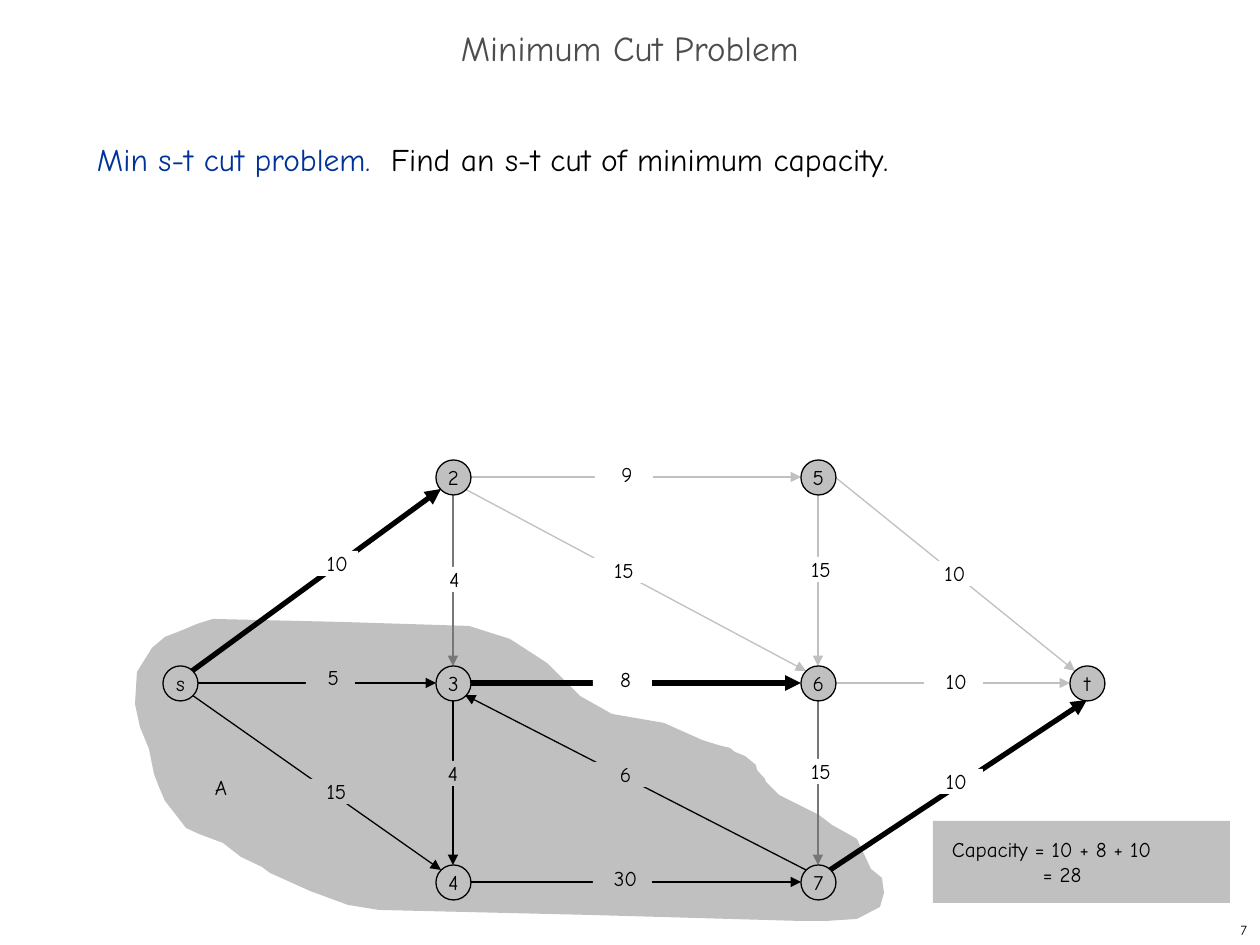
from dataclasses import dataclass

import pptx
import pptx.dml.color
import pptx.enum.shapes
import pptx.enum.text
import pptx.oxml
import pptx.oxml.ns
import pptx.util
from lxml import etree

Align = pptx.enum.text.PP_ALIGN
Anchor = pptx.enum.text.MSO_ANCHOR
Shape = pptx.enum.shapes.MSO_SHAPE
EMU_PER_PX = 914400 // 126


@dataclass(frozen=True)
class Theme:
    font: str = "Comic Neue"
    ink: str = "000000"
    title: str = "4D4D4D"
    accent: str = "003399"
    region: str = "C0C0C0"
    middle: str = "777777"
    paper: str = "FFFFFF"
    title_size: int = 20
    body_size: int = 18
    graph_size: int = 12
    number_size: int = 8
    thin: float = 0.75
    thick: float = 3


THEME = Theme()
NODE_SIZE = 35
SPACE = 6

NODES = {
    "s": (180, 683), "2": (453, 477), "3": (453, 683), "4": (453, 882),
    "5": (818, 477), "6": (818, 683), "7": (818, 882), "t": (1087, 683),
}

PORTS = {
    "N": (0, -17), "S": (0, 17), "W": (-17, 0), "E": (17, 0),
    "NW": (-12, -12), "NE": (12, -12), "SW": (-12, 12), "SE": (12, 12),
}

EDGES = [
    ("s", "NE", "2", "SW", THEME.ink, THEME.thick),
    ("s", "E", "3", "W", THEME.ink, THEME.thin),
    ("s", "SE", "4", "NW", THEME.ink, THEME.thin),
    ("3", "E", "6", "W", THEME.ink, THEME.thick),
    ("7", "NW", "3", "SE", THEME.ink, THEME.thin),
    ("3", "S", "4", "N", THEME.ink, THEME.thin),
    ("2", "E", "5", "W", THEME.region, THEME.thin),
    ("4", "E", "7", "W", THEME.ink, THEME.thin),
    ("2", "S", "3", "N", THEME.middle, THEME.thin),
    ("6", "S", "7", "N", THEME.middle, THEME.thin),
    ("5", "S", "6", "N", THEME.region, THEME.thin),
    ("2", "SE", "6", "NW", THEME.region, THEME.thin),
    ("5", "E", "t", "NW", THEME.region, THEME.thin),
    ("6", "E", "t", "W", THEME.region, THEME.thin),
    ("7", "NE", "t", "S", THEME.ink, THEME.thick),
]

LABELS = [
    ("15", 304, 779, 59, THEME.region, 1),
    ("5", 306, 665, 49, THEME.region, 1),
    ("30", 593, 866, 59, THEME.region, 1),
    ("15", 789, 759, 58, THEME.paper, 1),
    ("10", 299, 551, 59, THEME.paper, 3),
    ("8", 593, 667, 59, THEME.paper, 1),
    ("15", 592, 558, 58, THEME.paper, 1),
    ("9", 595, 462, 58, THEME.paper, 1),
    ("6", 593, 762, 59, THEME.region, 1),
    ("10", 924, 769, 59, THEME.paper, 1),
    ("10", 924, 669, 59, THEME.paper, 1),
    ("10", 917, 561, 58, THEME.paper, 3),
    ("15", 789, 557, 58, THEME.paper, 1),
    ("4", 422, 567, 59, THEME.paper, 1),
    ("4", 421, 761, 58, THEME.region, 1),
    ("A", 183, 775, 58, None, 3),
]

CUT_OUTLINE = [
    (766, 782), (779, 795), (819, 815), (832, 825), (857, 839), (864, 854),
    (871, 869), (876, 873), (882, 878), (884, 893), (880, 907), (857, 919),
    (826, 921), (800, 921), (590, 915), (379, 910), (348, 905), (310, 891),
    (270, 873), (262, 867), (241, 857), (223, 843), (199, 834), (186, 828),
    (169, 806), (165, 801), (159, 787), (154, 774), (149, 749), (140, 727),
    (135, 704), (137, 672), (152, 648), (165, 637), (183, 630), (197, 624),
    (213, 619), (341, 622), (469, 626), (510, 639), (547, 663), (571, 687),
    (580, 696), (612, 714), (635, 718), (664, 723), (702, 740), (718, 745),
    (730, 748), (735, 752), (745, 756), (756, 765), (757, 770), (765, 779),
]


def px(*lengths):
    return [pptx.util.Emu(length * EMU_PER_PX) for length in lengths]


def rgb(color):
    return pptx.dml.color.RGBColor.from_string(color)


def style_text(para, size, color, align=Align.LEFT):
    para.alignment = align
    para.font.name = THEME.font
    para.font.size = pptx.util.Pt(size)
    if color:
        para.font.color.rgb = rgb(color)


def set_frame(shape, insets, anchor=Anchor.TOP, wrap=True):
    frame = shape.text_frame
    frame.word_wrap = wrap
    frame.vertical_anchor = anchor
    (frame.margin_left, frame.margin_top,
     frame.margin_right, frame.margin_bottom) = px(*insets)
    return frame


def paint(shape, fill, outline=None):
    shape.shadow.inherit = False
    shape.fill.solid()
    shape.fill.fore_color.rgb = rgb(fill)
    if outline:
        shape.line.color.rgb = rgb(outline)
        shape.line.width = pptx.util.Pt(THEME.thin)
    else:
        shape.line.fill.background()


def add_line_of_text(page, place, text, size, color, align):
    box = page.shapes.add_textbox(*px(*place))
    para = set_frame(box, (13, 6, 13, 6), Anchor.MIDDLE).paragraphs[0]
    para.text = text
    style_text(para, size, color, align)
    return para


def add_statement(page):
    box = page.shapes.add_textbox(*px(84, 126, 1081, 746))
    para = set_frame(box, (13, 6, 13, 6)).paragraphs[0]
    para.line_spacing = pptx.util.Pt(26)
    tabs = etree.SubElement(para._p.get_or_add_pPr(), pptx.oxml.ns.qn("a:tabLst"))
    etree.SubElement(tabs, pptx.oxml.ns.qn("a:tab"), pos=str(px(294)[0]), algn="l")
    style_text(para, THEME.body_size, None)
    for text, color in (("Min s-t cut problem.\t", THEME.accent),
                        ("Find an s-t cut of minimum capacity.", THEME.ink)):
        span = para.add_run()
        span.text = text
        span.font.color.rgb = rgb(color)


def add_region(page):
    builder = page.shapes.build_freeform(*CUT_OUTLINE[0], scale=EMU_PER_PX)
    builder.add_line_segments(CUT_OUTLINE[1:], close=True)
    paint(builder.convert_to_shape(), THEME.region)


def add_node(page, name):
    x, y = NODES[name]
    place = px(x - NODE_SIZE // 2, y - NODE_SIZE // 2, NODE_SIZE, NODE_SIZE)
    node = page.shapes.add_shape(Shape.OVAL, *place)
    paint(node, THEME.region, THEME.ink)
    para = set_frame(node, (13, 6, 13, 6), Anchor.MIDDLE, False).paragraphs[0]
    para.text = name
    style_text(para, THEME.graph_size, THEME.ink, Align.CENTER)


def port_of(node, side):
    return [center + shift for center, shift in zip(NODES[node], PORTS[side])]


def add_edge(page, start, start_side, end, end_side, color, weight):
    ends = px(*port_of(start, start_side), *port_of(end, end_side))
    edge = page.shapes.add_connector(pptx.enum.shapes.MSO_CONNECTOR.STRAIGHT, *ends)
    edge.line.color.rgb = rgb(color)
    edge.line.width = pptx.util.Pt(weight)
    etree.SubElement(edge.line._get_or_add_ln(), pptx.oxml.ns.qn("a:tailEnd"), type="triangle")
    etree.SubElement(edge._element.spPr, pptx.oxml.ns.qn("a:effectLst"))


def add_label(page, text, left, top, width, fill, spaces):
    place = px(left, top, width, 25)
    if fill:
        label = page.shapes.add_shape(Shape.RECTANGLE, *place)
        paint(label, fill)
    else:
        label = page.shapes.add_textbox(*place)
    para = set_frame(label, (spaces * SPACE, 0, 0, 0)).paragraphs[0]
    para.text = text
    style_text(para, THEME.graph_size, THEME.ink, Align.CENTER)


def add_capacity(page):
    panel = page.shapes.add_shape(Shape.RECTANGLE, *px(933, 821, 297, 82))
    paint(panel, THEME.region)
    frame = set_frame(panel, (19, 13, 13, 13), Anchor.MIDDLE)
    frame.text = "Capacity = 10 + 8 + 10\n= 28"
    for para, indent in zip(frame.paragraphs, px(0, 91)):
        para._p.get_or_add_pPr().set("marL", str(indent))
        style_text(para, THEME.graph_size, THEME.ink)


def main():
    deck = pptx.Presentation()
    deck.slide_width, deck.slide_height = px(1260, 945)
    page = deck.slides.add_slide(deck.slide_layouts[6])
    add_statement(page)
    title = add_line_of_text(page, (0, 21, 1260, 63), "Minimum Cut Problem",
                             THEME.title_size, THEME.title, Align.CENTER)
    title.line_spacing = 0.7
    add_region(page)
    for edge in EDGES:
        add_edge(page, *edge)
    for name in NODES:
        add_node(page, name)
    for label in LABELS:
        add_label(page, *label)
    add_capacity(page)
    add_line_of_text(page, (998, 914, 262, 31), "7",
                     THEME.number_size, THEME.ink, Align.RIGHT)
    deck.save("out.pptx")


if __name__ == "__main__":
    main()
